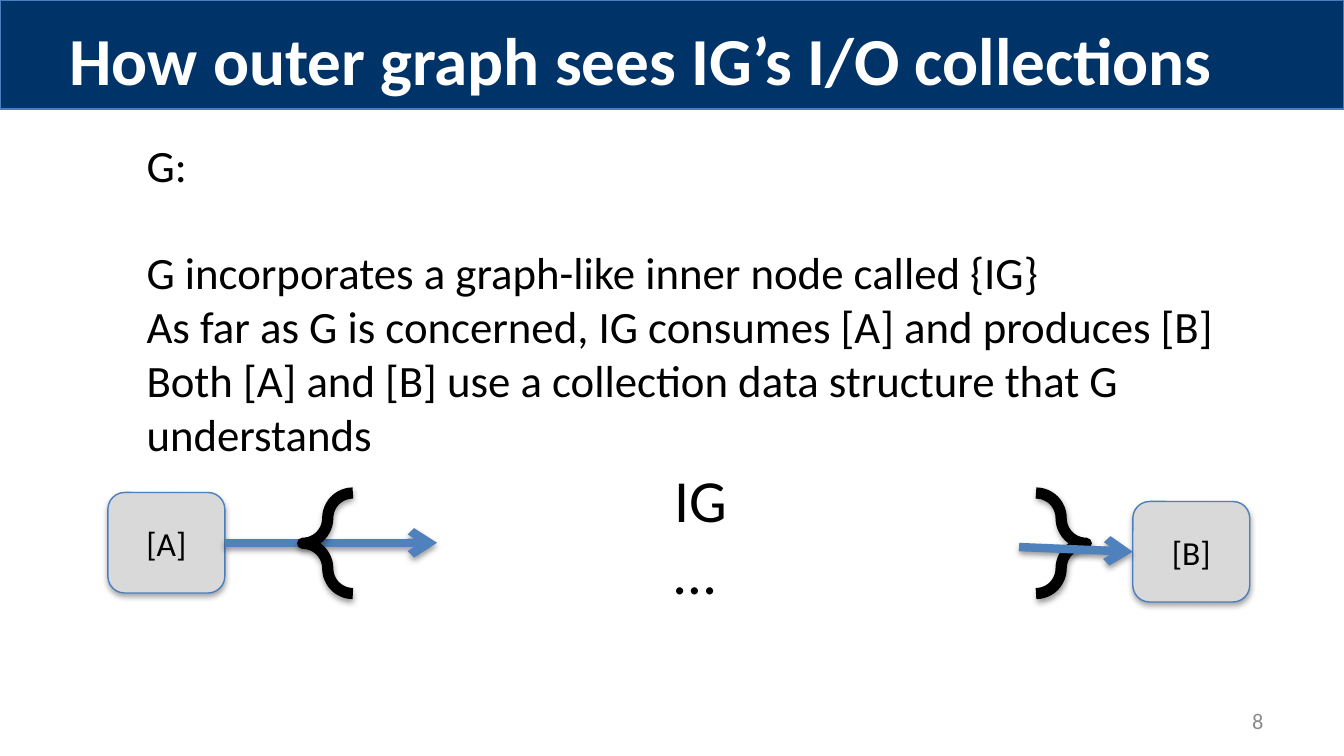
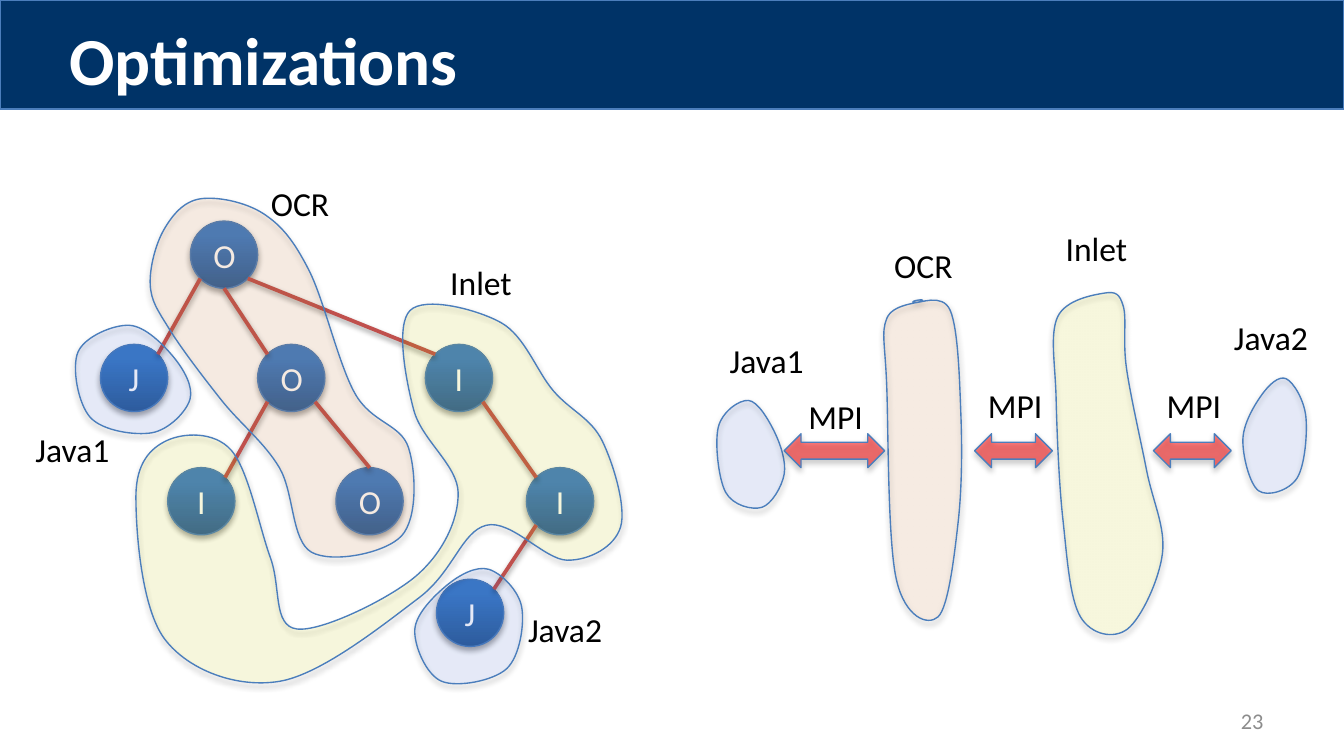
from dataclasses import dataclass
from math import cos, radians, sin

from lxml import etree
from pptx import Presentation
from pptx import util as u
from pptx.dml.color import RGBColor
from pptx.enum import shapes, text
from pptx.oxml.ns import qn

Cm, Pt = u.Cm, u.Pt
Preset = shapes.MSO_SHAPE
Align = text.PP_ALIGN
Anchor = text.MSO_ANCHOR


@dataclass(frozen=True)
class Theme:
    font: str = "Calibri"
    band: str = "003367"
    edge: str = "4B7EBC"
    flow: str = "4F81BD"
    link: str = "C0504D"
    box: str = "D9D9D9"
    ink: str = "000000"
    light: str = "FFFFFF"
    muted: str = "8C8C8C"
    node: tuple = ("2F5F99", "3D7CC7")
    ocr: tuple = ("F79646", 11)
    inlet: tuple = ("FFFF00", 10)
    java: tuple = ("3366FF", 9)
    message: tuple = ("FF0000", 50)
    title_size: int = 36
    symbol_size: int = 32
    body_size: int = 24
    label_size: int = 18
    number_size: int = 12
    thin: float = 0.75
    soft_shadow: tuple = (23000, 35000)
    line_shadow: tuple = (20000, 38000)


THEME = Theme()
NODE_SIZE = 1.27
LABEL_HEIGHT = 1.02
PEBBLE = [(0.02, 0.25), (0.13, 0.86), (0.67, 1), (1, 0.69), (0.86, 0.3), (0.47, 0)]


def rgb(value):
    return RGBColor.from_string(value)


def write(frame, *lines, size=THEME.label_size, color=THEME.ink, bold=False,
          align=Align.LEFT, anchor=Anchor.TOP, wrap=True, grow=False):
    frame.word_wrap = wrap
    frame.vertical_anchor = anchor
    frame.auto_size = (text.MSO_AUTO_SIZE.SHAPE_TO_FIT_TEXT if grow
                       else text.MSO_AUTO_SIZE.NONE)
    for index, line in enumerate(lines):
        paragraph = frame.add_paragraph() if index else frame.paragraphs[0]
        paragraph.alignment = align
        run = paragraph.add_run()
        run.text = line
        run.font.name = THEME.font
        run.font.size = Pt(size)
        run.font.bold = bold
        run.font.color.rgb = rgb(color)


def place(outline, left, top, width, height):
    return [(left + x * width, top + y * height) for x, y in outline]


def turn(outline):
    return [(y, 1 - x) for x, y in outline]


def bend(segment, before, start, end, after):
    segment.tag = qn("a:cubicBezTo")
    segment.clear()
    leaving = [b + (c - a) / 6 for a, b, c in zip(before, start, end)]
    arriving = [c - (d - b) / 6 for b, c, d in zip(start, end, after)]
    for x, y in (leaving, arriving, end):
        etree.SubElement(segment, qn("a:pt"), x=str(round(x)), y=str(round(y)))


def rim(corner, angle):
    radius = NODE_SIZE / 2
    return (corner[0] + radius * (1 + cos(radians(angle))),
            corner[1] + radius * (1 + sin(radians(angle))))


class Deck:
    def __init__(self, theme):
        self.theme = theme
        self.prs = Presentation()
        self.prs.slide_width, self.prs.slide_height = Cm(25.4), Cm(14.29)
        self.slide = None

    def new_slide(self, title, number):
        theme = self.theme
        self.slide = self.prs.slides.add_slide(self.prs.slide_layouts[5])
        heading = self.slide.shapes.title
        band = self.shape(Preset.RECTANGLE, (0, 0, 25.4, 2.06), theme.band, shadow=None)
        heading.element.addprevious(band.element)
        heading.left, heading.top, heading.width, heading.height = map(
            Cm, (1.06, 0.21, 23.29, 1.8))
        write(heading.text_frame, title, size=theme.title_size, color=theme.light,
              bold=True, grow=True)
        self.text((18.21, 13.24, 5.92, 0.76), number, size=theme.number_size,
                  color=theme.muted, align=Align.RIGHT, anchor=Anchor.MIDDLE)

    def outline(self, item, color, width, shadow):
        item.line.color.rgb = rgb(color)
        item.line.width = Pt(width)
        effects = etree.SubElement(item.element.spPr, qn("a:effectLst"))
        if shadow:
            distance, opacity = shadow
            outer = etree.SubElement(effects, qn("a:outerShdw"), blurRad="40000",
                                     dist=str(distance), dir="5400000", rotWithShape="0")
            black = etree.SubElement(outer, qn("a:srgbClr"), val=self.theme.ink)
            etree.SubElement(black, qn("a:alpha"), val=str(opacity))

    def tint(self, item, color, opacity):
        item.fill.solid()
        item.fill.fore_color.rgb = rgb(color)
        if opacity < 100:
            swatch = item.element.spPr.find(qn("a:solidFill")).find(qn("a:srgbClr"))
            etree.SubElement(swatch, qn("a:alpha"), val=str(opacity * 1000))

    def shape(self, preset, box, fill, opacity=100, line=THEME.edge, width=THEME.thin,
              shadow=THEME.soft_shadow):
        item = self.slide.shapes.add_shape(preset, *map(Cm, box))
        if fill:
            self.tint(item, fill, opacity)
        else:
            item.fill.background()
        self.outline(item, line, width, shadow)
        return item

    def text(self, box, *lines, **style):
        frame = self.slide.shapes.add_textbox(*map(Cm, box)).text_frame
        write(frame, *lines, **style)
        return frame

    def label(self, left, top, width, words):
        self.text((left, top, width, LABEL_HEIGHT), words, wrap=False, grow=True)

    def collection(self, left, top, words):
        item = self.shape(Preset.ROUNDED_RECTANGLE, (left, top, 2.21, 1.9), self.theme.box)
        write(item.text_frame, words, align=Align.CENTER, anchor=Anchor.MIDDLE)
        return item

    def node(self, corner, letter):
        item = self.shape(Preset.OVAL, (*corner, NODE_SIZE, NODE_SIZE), self.theme.node[0])
        item.fill.gradient()
        item.fill.gradient_angle = 90
        for stop, color, position in zip(item.fill.gradient_stops, self.theme.node, (0, 0.8)):
            stop.color.rgb = rgb(color)
            stop.position = position
        write(item.text_frame, letter, color=self.theme.light, align=Align.CENTER,
              anchor=Anchor.MIDDLE)

    def line(self, start, end, color, width, arrow=False):
        item = self.slide.shapes.add_connector(
            shapes.MSO_CONNECTOR.STRAIGHT, *map(Cm, (*start, *end)))
        self.outline(item, color, width, self.theme.line_shadow)
        if arrow:
            etree.SubElement(item.element.spPr.find(qn("a:ln")), qn("a:tailEnd"), type="arrow")
        return item

    def region(self, anchors, color, opacity):
        points = [(Cm(x), Cm(y)) for x, y in anchors]
        builder = self.slide.shapes.build_freeform(*points[0])
        builder.add_line_segments(points[1:] + points[:1], close=True)
        item = builder.convert_to_shape()
        local = [(x - item.left, y - item.top) for x, y in points]
        for i, segment in enumerate(list(item.element.spPr.iter(qn("a:lnTo")))):
            bend(segment, *(local[(i + k) % len(local)] for k in (-1, 0, 1, 2)))
        self.tint(item, color, opacity)
        self.outline(item, self.theme.edge, self.theme.thin, self.theme.soft_shadow)


def outer_graph(deck):
    theme = deck.theme
    deck.new_slide("How outer graph sees IG’s I/O collections", "8")
    consumed = deck.collection(2.04, 9.31, "[A]")
    inflow = deck.line((4.25, 10.26), (8.26, 10.26), theme.flow, 4.5, arrow=True)
    inflow.begin_connect(consumed, 3)
    inner_graph = deck.shape(Preset.DOUBLE_BRACE, (5.72, 9.32, 14.81, 1.9), None,
                             line=theme.ink, width=6, shadow=theme.line_shadow)
    inner_graph.adjustments[0] = 0.25
    deck.text((12.5, 8.63, 1.52, 3), "IG", "…", size=theme.symbol_size, wrap=False, grow=True)
    explanation = deck.text(
        (2.52, 2.47, 22.88, 6.4),
        "G:",
        "G incorporates a graph-like inner node called {IG}",
        "As far as G is concerned, IG consumes [A] and produces [B]",
        "Both [A] and [B] use a collection data structure that G understands",
        size=theme.body_size, grow=True)
    explanation.paragraphs[0].space_after = Pt(29)
    produced = deck.collection(21.41, 9.48, "[B]")
    outflow = deck.line((19.26, 10.34), (21.41, 10.43), theme.flow, 4.5, arrow=True)
    outflow.end_connect(produced, 1)


def optimizations(deck):
    theme = deck.theme
    deck.new_slide("Optimizations", "23")

    tree = {
        "root": ((3.6, 4.18), "O"),
        "java1": ((1.9, 6.51), "J"),
        "middle": ((4.87, 6.51), "O"),
        "lower": ((3.17, 8.84), "I"),
        "leaf": ((6.35, 8.84), "O"),
        "right": ((8.04, 6.51), "I"),
        "far": ((9.95, 8.84), "I"),
        "java2": ((8.25, 10.95), "J"),
    }
    for corner, letter in tree.values():
        deck.node(corner, letter)

    top, top_left, top_right = 270, 225, 315
    bottom, bottom_left, bottom_right = 90, 135, 45
    for parent, leaving, child, arriving in (
            ("root", bottom_left, "java1", top_right),
            ("root", bottom, "middle", top_left),
            ("root", bottom_right, "right", top_left),
            ("middle", bottom_left, "lower", top_right),
            ("middle", bottom_right, "leaf", top),
            ("right", bottom_right, "far", top_left),
            ("far", bottom_left, "java2", top_right)):
        deck.line(rim(tree[parent][0], leaving), rim(tree[child][0], arriving), theme.link, 2)

    ocr_cluster = [
        (3.1, 4.34), (2.84, 5.38), (3.2, 6.22), (4.19, 7.57), (5.28, 8.84), (5.89, 10.44),
        (7.59, 10.13), (7.72, 8.46), (6.71, 7.44), (5.84, 5.11), (4.98, 4.04), (3.78, 3.76)]
    inlet_cluster = [
        (9.47, 6.1), (10.46, 7.39), (11.38, 8.33), (11.73, 9.96), (10.72, 10.59),
        (9.19, 9.93), (7.92, 11.3), (5.28, 12.88), (3.12, 12.09), (2.57, 9.37),
        (3.15, 8.33), (4.37, 8.51), (5.11, 10.54), (5.61, 11.89), (7.85, 10.9),
        (8.66, 9.32), (7.82, 7.75), (7.75, 5.87)]
    ocr_slab = [
        (17.42, 5.69), (16.76, 6.02), (16.76, 7.32), (16.94, 10.95), (17.73, 11.66),
        (18.11, 9.86), (18.16, 7.82), (17.96, 5.87), (17.27, 5.72)]
    inlet_slab = [
        (20.88, 5.54), (19.99, 5.99), (19.96, 7.52), (20.09, 9.83), (20.42, 11.66),
        (21.31, 11.89), (21.97, 10.46), (21.67, 8.89), (21.29, 6.96), (21.23, 5.79)]
    for anchors, fill in (
            (ocr_cluster, theme.ocr),
            (inlet_cluster, theme.inlet),
            (place(PEBBLE, 1.43, 6.15, 2.16, 2.03), theme.java),
            (place(turn(PEBBLE), 7.84, 10.76, 2.02, 2.16), theme.java),
            (ocr_slab, theme.ocr),
            (inlet_slab, theme.inlet),
            (place(PEBBLE, 13.55, 7.57, 1.27, 2.02), theme.java),
            (place(turn(PEBBLE), 23.49, 7.16, 1.19, 2.16), theme.java)):
        deck.region(anchors, *fill)

    for words, width, corners in (
            ("OCR", 1.65, ((4.87, 3.33), (16.65, 4.5))),
            ("Inlet", 1.74, ((8.26, 4.82), (19.89, 4.19))),
            ("Java1", 1.96, ((0.42, 7.99), (13.54, 6.3))),
            ("Java2", 1.96, ((9.73, 11.38), (23.07, 5.87)))):
        for left, top_edge in corners:
            deck.label(left, top_edge, width, words)

    for left, width, label_left, label_top in (
            (14.82, 1.9, 15.03, 7.36),
            (18.42, 1.47, 18.42, 7.15),
            (21.8, 1.47, 21.8, 7.15)):
        deck.shape(Preset.LEFT_RIGHT_ARROW, (left, 8.2, width, 0.64), *theme.message)
        deck.label(label_left, label_top, 1.55, "MPI")


def main():
    deck = Deck(THEME)
    outer_graph(deck)
    optimizations(deck)
    deck.prs.save("out.pptx")


if __name__ == "__main__":
    main()
